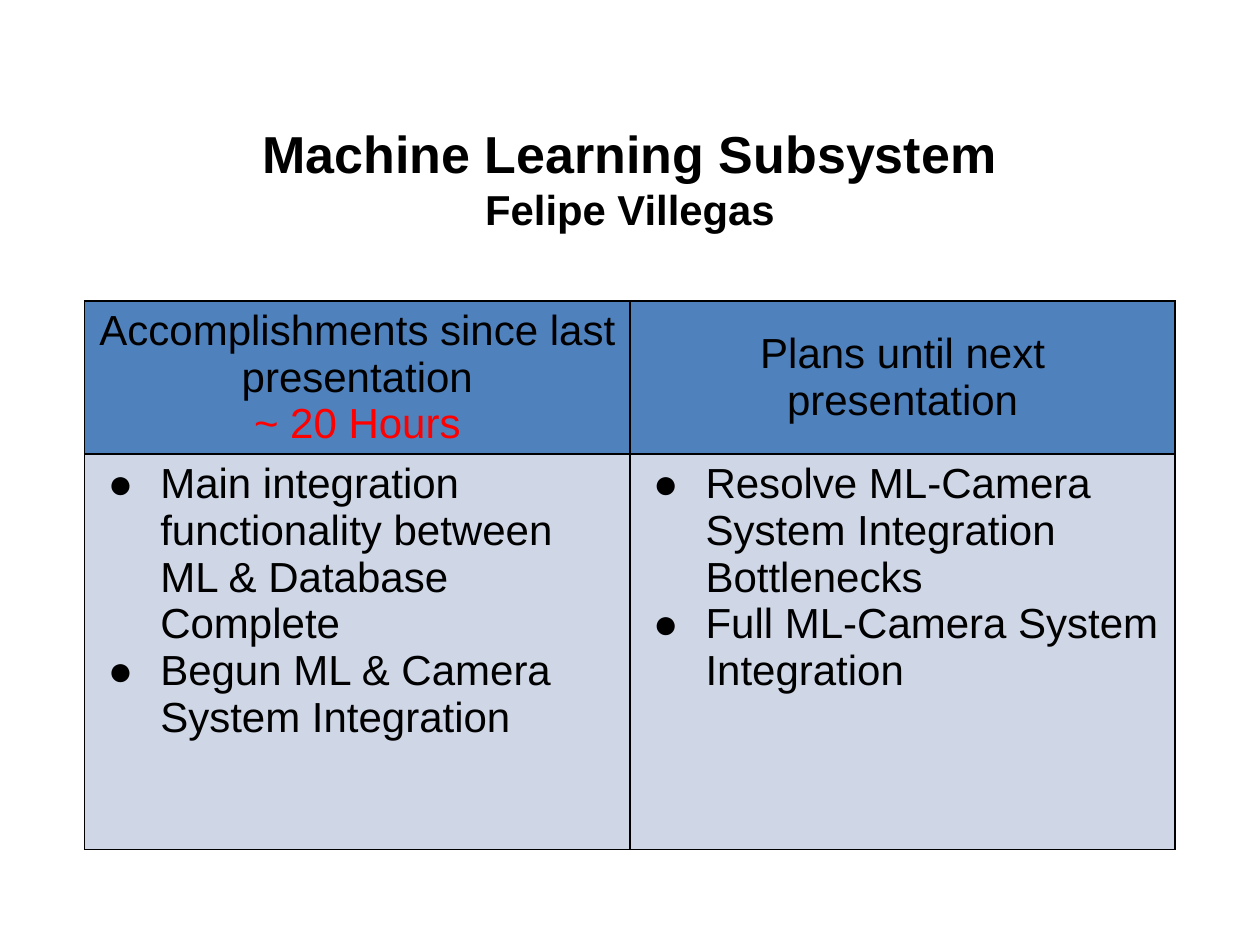
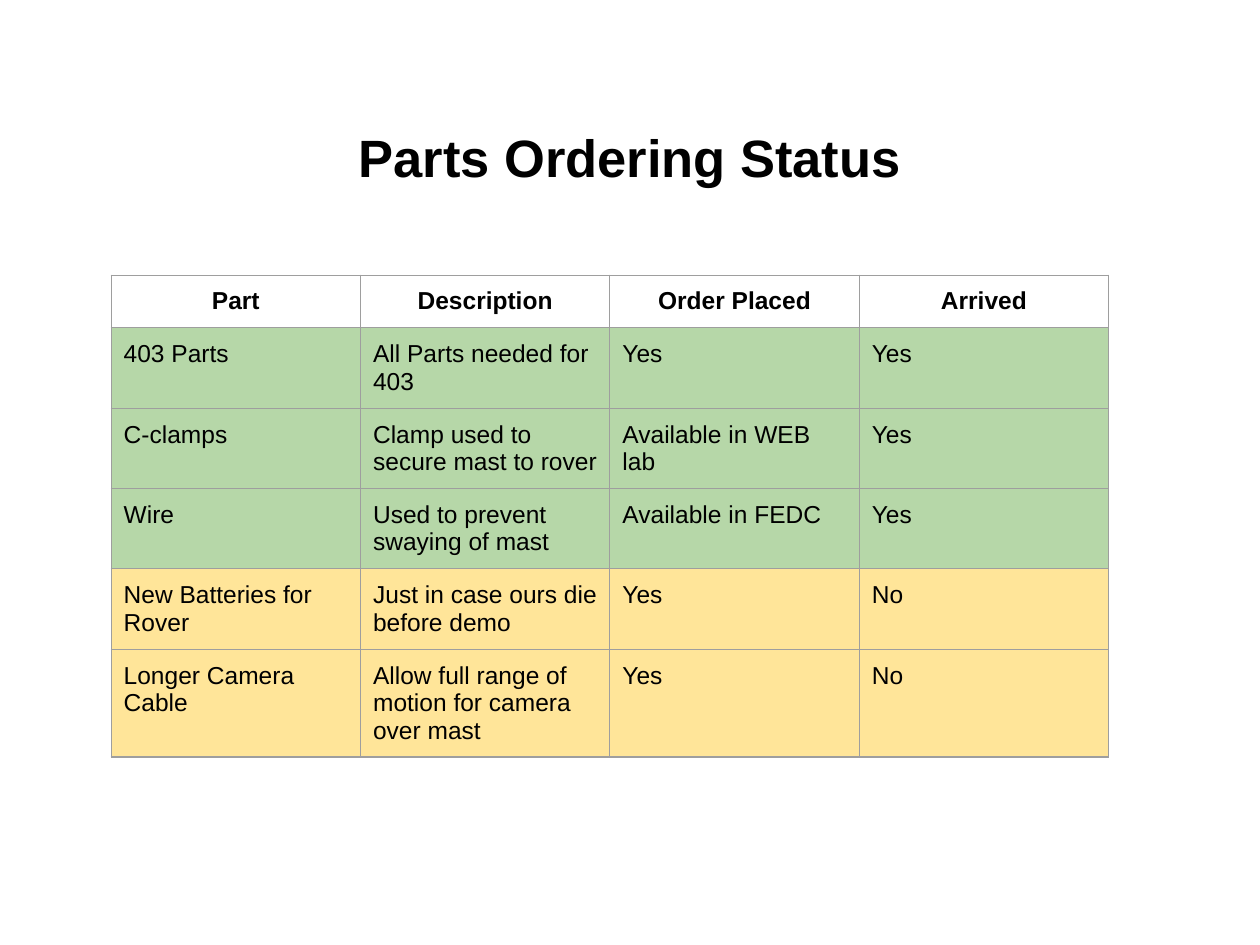
from dataclasses import dataclass

from lxml.etree import SubElement
from pptx import Presentation
from pptx.dml.color import RGBColor
from pptx.enum.text import MSO_ANCHOR, MSO_AUTO_SIZE, PP_ALIGN
from pptx.oxml.ns import qn
from pptx.util import Pt


@dataclass(frozen=True)
class Theme:
    font: str = "Arial"
    ink: str = "000000"
    accent: str = "FF0000"
    header: str = "4F81BD"
    body: str = "CFD7E7"
    paper: str = "FFFFFF"
    arrived: str = "B6D7A8"
    pending: str = "FFE599"
    grid: str = "9E9E9E"
    title_size: float = 30
    progress_title_size: float = 29.7
    presenter_size: float = 23.9
    progress_size: float = 24
    parts_size: float = 14


THEME = Theme()

# Content
PROGRESS_TITLE = "Machine Learning Subsystem"
PRESENTER = "Felipe Villegas"
PROGRESS_HEADERS = [
    [("Accomplishments since last presentation", THEME.ink), ("~ 20 Hours", THEME.accent)],
    [("Plans until next presentation", THEME.ink)],
]
PROGRESS_ITEMS = [
    ["Main integration functionality between ML & Database Complete",
     "Begun ML & Camera System Integration"],
    ["Resolve ML-Camera System Integration Bottlenecks",
     "Full ML-Camera System Integration"],
]

PARTS_TITLE = "Parts Ordering Status"
PARTS_HEADERS = ["Part", "Description", "Order Placed", "Arrived"]
PARTS = [
    ("403 Parts", "All Parts needed for 403", "Yes", "Yes"),
    ("C-clamps", "Clamp used to secure mast to rover", "Available in WEB lab", "Yes"),
    ("Wire", "Used to prevent swaying of mast", "Available in FEDC", "Yes"),
    ("New Batteries for Rover", "Just in case ours die before demo", "Yes", "No"),
    ("Longer Camera Cable", "Allow full range of motion for camera over mast", "Yes", "No"),
]
PARTS_LINES = [1, 2, 2, 2, 2, 3]  # text lines in each row, header first

# Layout in points
SLIDE_SIZE = (720, 540)
TITLE_LEFT, TITLE_WIDTH, TITLE_HEIGHT = 36, 648, 63.36
SIDE_MARGIN = 7.2
BULLET_INDENT, BULLET_HANGING = 36, 30
PARTS_MARGIN, PARTS_LINE_HEIGHT = 7.2, 15.7


def write_paragraphs(text_frame, lines, alignment=PP_ALIGN.LEFT, bold=False, bullet=False):
    """Write (text, size, colour) lines, one paragraph each."""
    for index, (text, size, colour) in enumerate(lines):
        paragraph = text_frame.paragraphs[0] if index == 0 else text_frame.add_paragraph()
        paragraph.text = text
        paragraph.alignment = alignment
        if bullet:
            add_bullet(paragraph)
        font = paragraph.font
        font.name, font.size, font.bold = THEME.font, Pt(size), bold
        font.color.rgb = RGBColor.from_string(colour)


def add_bullet(paragraph):
    properties = paragraph._p.get_or_add_pPr()
    properties.set("marL", str(Pt(BULLET_INDENT)))
    properties.set("indent", str(-Pt(BULLET_HANGING)))
    colour = SubElement(properties, qn("a:buClr"))
    SubElement(colour, qn("a:srgbClr"), val=THEME.ink)
    SubElement(properties, qn("a:buFont"), typeface=THEME.font)
    SubElement(properties, qn("a:buChar"), char="●")


def add_titled_slide(presentation, top, lines):
    slide = presentation.slides.add_slide(presentation.slide_layouts[5])
    title = slide.shapes.title
    title.left, title.top = Pt(TITLE_LEFT), Pt(top)
    title.width, title.height = Pt(TITLE_WIDTH), Pt(TITLE_HEIGHT)
    title.text_frame.auto_size = MSO_AUTO_SIZE.NONE
    title.text_frame.vertical_anchor = MSO_ANCHOR.MIDDLE
    write_paragraphs(title.text_frame, lines, PP_ALIGN.CENTER, bold=True)
    return slide


def add_plain_table(slide, left, top, column_width, columns, row_heights):
    shape = slide.shapes.add_table(len(row_heights), columns, Pt(left), Pt(top),
                                   Pt(column_width * columns), Pt(sum(row_heights)))
    table = shape.table
    table.first_row = table.horz_banding = False
    for column in table.columns:
        column.width = Pt(column_width)
    for row, height in zip(table.rows, row_heights):
        row.height = Pt(height)
    return table


def format_cell(cell, fill, border, border_width, vertical_margin):
    properties = cell._tc.get_or_add_tcPr()
    for side in ("lnL", "lnR", "lnT", "lnB"):
        line = SubElement(properties, qn(f"a:{side}"), w=str(Pt(border_width)))
        SubElement(SubElement(line, qn("a:solidFill")), qn("a:srgbClr"), val=border)
    cell.fill.solid()
    cell.fill.fore_color.rgb = RGBColor.from_string(fill)
    cell.margin_left = cell.margin_right = Pt(SIDE_MARGIN)
    cell.margin_top = cell.margin_bottom = Pt(vertical_margin)


def build_progress_slide(presentation):
    slide = add_titled_slide(presentation, 69.84, [
        (PROGRESS_TITLE, THEME.progress_title_size, THEME.ink),
        (PRESENTER, THEME.presenter_size, THEME.ink),
    ])
    table = add_plain_table(slide, 48.4, 172, 311.6, 2, [87.4, 226])
    for column, (header, items) in enumerate(zip(PROGRESS_HEADERS, PROGRESS_ITEMS)):
        heading, body = table.cell(0, column), table.cell(1, column)
        for cell, fill in ((heading, THEME.header), (body, THEME.body)):
            format_cell(cell, fill, THEME.ink, 1, 3.6)
        heading.vertical_anchor = MSO_ANCHOR.MIDDLE if column else MSO_ANCHOR.TOP
        write_paragraphs(heading.text_frame,
                         [(text, THEME.progress_size, colour) for text, colour in header],
                         PP_ALIGN.CENTER)
        write_paragraphs(body.text_frame,
                         [(item, THEME.progress_size, THEME.ink) for item in items],
                         bullet=True)


def build_parts_slide(presentation):
    slide = add_titled_slide(presentation, 57.6, [(PARTS_TITLE, THEME.title_size, THEME.ink)])
    heights = [2 * PARTS_MARGIN + lines * PARTS_LINE_HEIGHT for lines in PARTS_LINES]
    table = add_plain_table(slide, 63.5, 157.2, 142.5, len(PARTS_HEADERS), heights)
    for row, values in enumerate([PARTS_HEADERS, *PARTS]):
        is_header = row == 0
        status_fill = THEME.arrived if values[-1] == "Yes" else THEME.pending
        for column, value in enumerate(values):
            cell = table.cell(row, column)
            format_cell(cell, THEME.paper if is_header else status_fill,
                        THEME.grid, 0.75, PARTS_MARGIN)
            write_paragraphs(cell.text_frame, [(value, THEME.parts_size, THEME.ink)],
                             PP_ALIGN.CENTER if is_header else PP_ALIGN.LEFT, bold=is_header)


def main():
    presentation = Presentation()
    presentation.slide_width, presentation.slide_height = map(Pt, SLIDE_SIZE)
    build_progress_slide(presentation)
    build_parts_slide(presentation)
    presentation.save("out.pptx")


if __name__ == "__main__":
    main()
